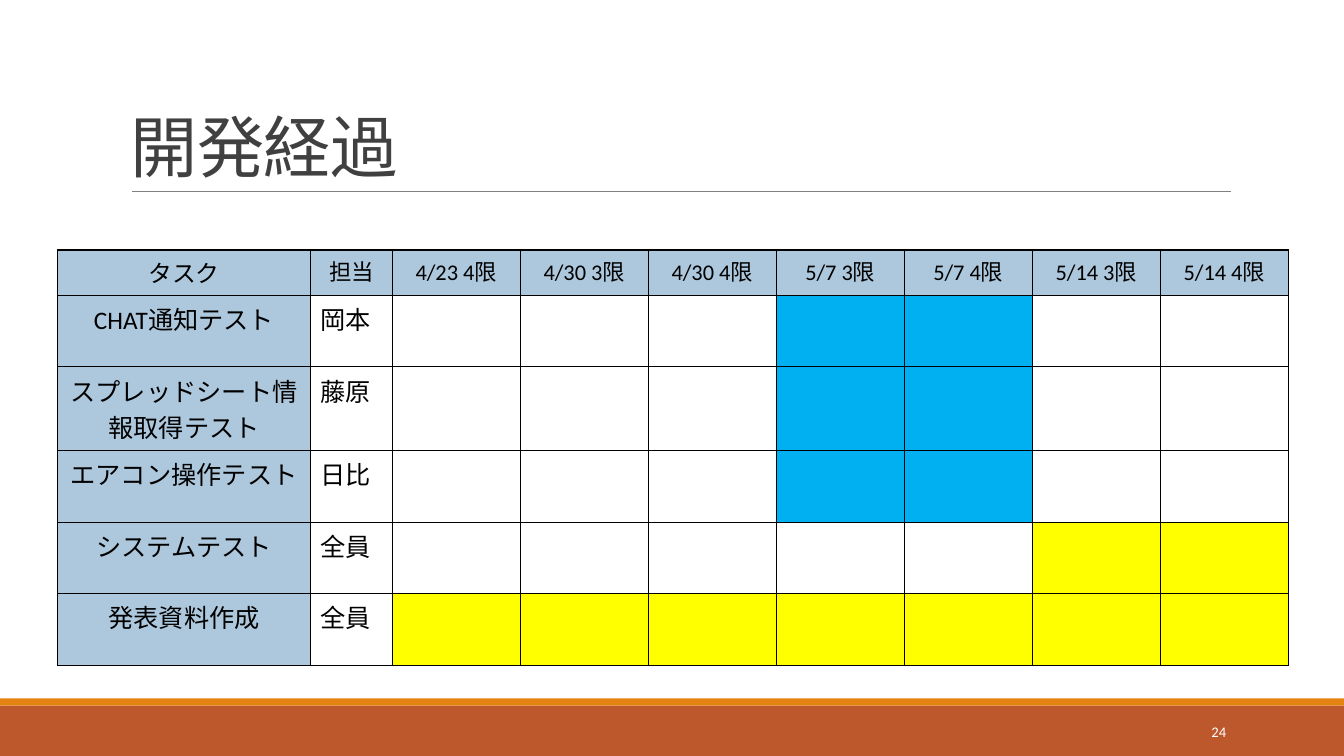
from lxml import etree
from pptx import Presentation
from pptx.dml.color import RGBColor
from pptx.enum.shapes import MSO_CONNECTOR as CONN, MSO_SHAPE as SHAPE
from pptx.enum.text import MSO_ANCHOR as ANCHOR, PP_ALIGN as ALIGN
from pptx.oxml.ns import qn
from pptx.util import Inches, Pt

THEME = {
    "font": "Calibri",
    "title": (48, "404040"), "number": (10.5, "FFFFFF"),
    "first_head": (17, "000000"), "head": (16, "000000"), "body": (18, "000000"),
    "bar": "BD582C", "stripe": "E48312", "rule": "808080", "border": "000000",
    "label": "ADC8DD", "empty": "FFFFFF", "test": "00B0F0", "team": "FFFF00",
}


def write(tf, text, style, align):
    size, color = THEME[style]
    p = tf.paragraphs[0]
    p.alignment = align
    r = p.add_run()
    r.text = text
    formats = {"name": THEME["font"], "size": Pt(size), "bold": False}
    for name, value in formats.items():
        setattr(r.font, name, value)
    r.font.color.rgb = RGBColor.from_string(color)
    return p, r


def add_borders(cell, color):
    tc_pr = cell._tc.get_or_add_tcPr()
    for side in ("lnL", "lnR", "lnT", "lnB"):
        ln = etree.SubElement(tc_pr, qn(f"a:{side}"), w=str(Pt(1)))
        fill = etree.SubElement(ln, qn("a:solidFill"))
        etree.SubElement(fill, qn("a:srgbClr"), val=color)


prs = Presentation()
prs.slide_width, prs.slide_height = Inches(13.33), Inches(7.5)
s = prs.slides.add_slide(prs.slide_layouts[6])

# Footer bars
for top, height, color in ((7, 0.5, "bar"), (6.93, 0.07, "stripe")):
    sp = s.shapes.add_shape(SHAPE.RECTANGLE, 0, Inches(top), prs.slide_width, Inches(height))
    sp.shadow.inherit = False
    sp.fill.solid()
    sp.fill.fore_color.rgb = RGBColor.from_string(THEME[color])
    sp.line.fill.background()

# Rule under the title
rule = s.shapes.add_connector(CONN.STRAIGHT, Inches(1.31), Inches(1.9), Inches(12.21), Inches(1.9))
rule.line.color.rgb = RGBColor.from_string(THEME["rule"])
rule.line.width = Pt(0.5)
etree.SubElement(rule._element.spPr, qn("a:effectLst"))

# Title and slide number
texts = (
    ("開発経過", "title", (1.2, 0.31, 11, 1.59), ANCHOR.BOTTOM, ALIGN.LEFT),
    ("24", "number", (10.83, 7.06, 1.43, 0.4), ANCHOR.MIDDLE, ALIGN.RIGHT),
)
for text, style, box, anchor, align in texts:
    tf = s.shapes.add_textbox(*map(Inches, box)).text_frame
    tf.word_wrap = True
    tf.vertical_anchor = anchor
    p, r = write(tf, text, style, align)
    if style == "title":
        p.line_spacing = 0.85
        r.font._element.set("spc", "-50")

# Schedule: task, owner, fill, booked periods, row height
periods = ["4/23 4限", "4/30 3限", "4/30 4限", "5/7 3限", "5/7 4限", "5/14 3限", "5/14 4限"]
tasks = [
    ("CHAT通知テスト", "岡本", "test", range(3, 5), 0.71),
    ("スプレッドシート情報取得テスト", "藤原", "test", range(3, 5), 0.83),
    ("エアコン操作テスト", "日比", "test", range(3, 5), 0.71),
    ("システムテスト", "全員", "team", range(5, 7), 0.71),
    ("発表資料作成", "全員", "team", range(7), 0.71),
]
rows = [["タスク", "担当", *periods]] + [[task, owner] for task, owner, *_ in tasks]
widths = [2.51, 0.81] + [1.27] * len(periods)
heights = [0.45] + [height for *_, height in tasks]

table = s.shapes.add_table(len(heights), len(widths), Inches(0.57), Inches(2.48),
                           Inches(sum(widths)), Inches(sum(heights))).table
table.first_row = table.horz_banding = False
for col, width in zip(table.columns, widths):
    col.width = Inches(width)
for row, height in zip(table.rows, heights):
    row.height = Inches(height)

for i, texts in enumerate(rows):
    for j in range(len(widths)):
        cell = table.cell(i, j)
        add_borders(cell, THEME["border"])
        fill = "label" if i == 0 or j == 0 else "empty"
        if i and j - 2 in tasks[i - 1][3]:
            fill = tasks[i - 1][2]
        cell.fill.solid()
        cell.fill.fore_color.rgb = RGBColor.from_string(THEME[fill])
        if j < len(texts):
            style = "body" if i else "head" if j else "first_head"
            align = ALIGN.CENTER if fill == "label" else ALIGN.LEFT
            write(cell.text_frame, texts[j], style, align)

prs.save("out.pptx")
